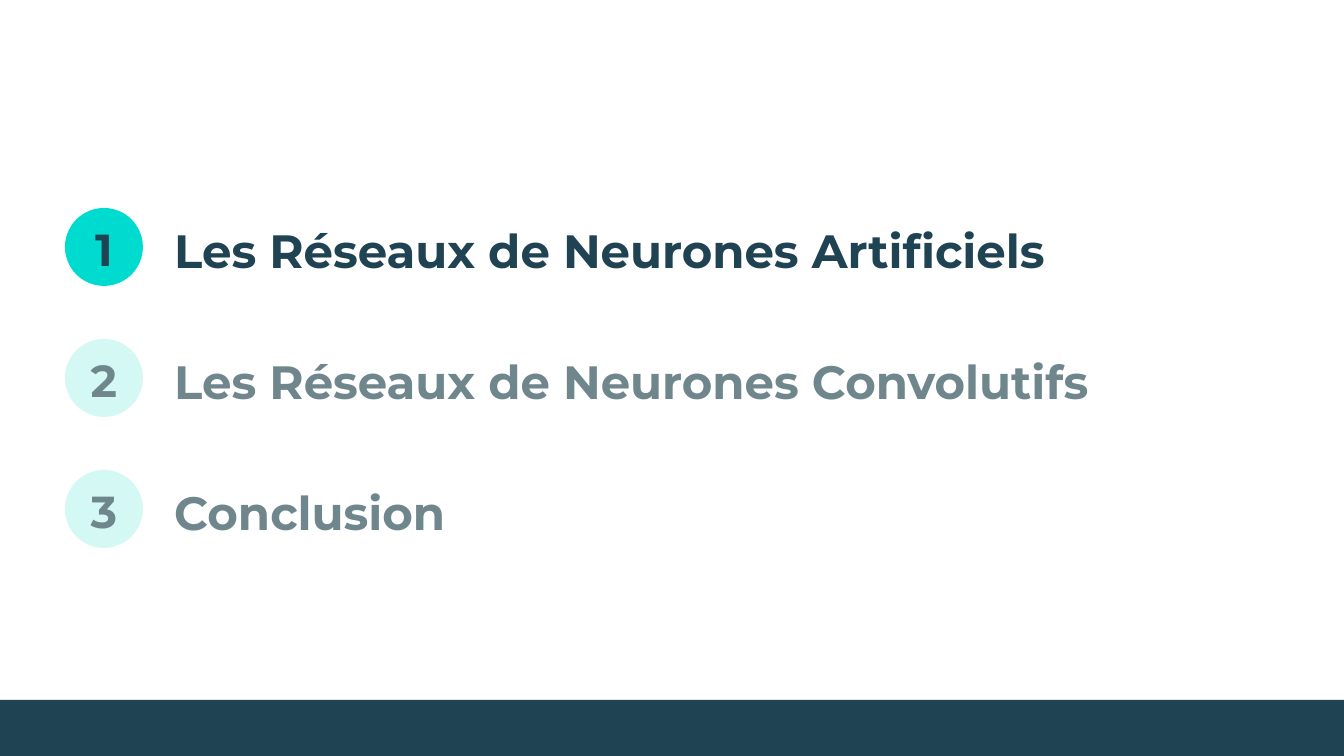
import pptx
import pptx.dml.color
import pptx.enum.shapes
import pptx.enum.text
import pptx.util

RGBColor = pptx.dml.color.RGBColor
SHAPE = pptx.enum.shapes.MSO_SHAPE
ALIGN = pptx.enum.text.PP_ALIGN

NAVY = RGBColor(0x1F, 0x43, 0x52)
GREY = RGBColor(0x6F, 0x87, 0x8C)
TEAL = RGBColor(0x00, 0xDB, 0xD0)
PALE = RGBColor(0xD4, 0xF9, 0xF4)

PX = 914400 / 134.4  # EMU per pixel


def px(*lengths):
    return [round(n * PX) for n in lengths]


def add_text(s, text, *, box, size, color, align=ALIGN.LEFT):
    tf = s.shapes.add_textbox(*px(*box)).text_frame
    tf.word_wrap = True
    tf.margin_left = tf.margin_right = tf.margin_top = tf.margin_bottom = pptx.util.Inches(0.1)
    p = tf.paragraphs[0]
    p.alignment = align
    r = p.add_run()
    r.text = text
    r.font.name = "Montserrat"
    r.font.size = pptx.util.Pt(size)
    r.font.bold = True
    r.font.color.rgb = color


prs = pptx.Presentation()
prs.slide_width, prs.slide_height = px(1344, 756)
s = prs.slides.add_slide(prs.slide_layouts[6])

# Agenda rows: the current section is highlighted
CURRENT = 1
TOP, PITCH, BADGE = 208, 131, 78
sections = [
    ("Les Réseaux de Neurones Artificiels", 984),
    ("Les Réseaux de Neurones Convolutifs", 1036),
    ("Conclusion", 1024),
]
for number, (title, width) in enumerate(sections, 1):
    y = TOP + (number - 1) * PITCH
    fill, color = (TEAL, NAVY) if number == CURRENT else (PALE, GREY)

    sp = s.shapes.add_shape(SHAPE.OVAL, *px(65, y, BADGE, BADGE))
    sp.shadow.inherit = False
    sp.fill.solid()
    sp.fill.fore_color.rgb = fill
    sp.line.fill.background()

    add_text(s, title, box=(161, y, width, BADGE), size=25, color=color)
    add_text(s, str(number), box=(62, y, 84, 55), size=24, color=color, align=ALIGN.CENTER)

# Footer band
sp = s.shapes.add_shape(SHAPE.RECTANGLE, *px(0, 700, 1344, 56))
sp.shadow.inherit = False
sp.fill.solid()
sp.fill.fore_color.rgb = NAVY
sp.line.fill.background()

prs.save("out.pptx")
